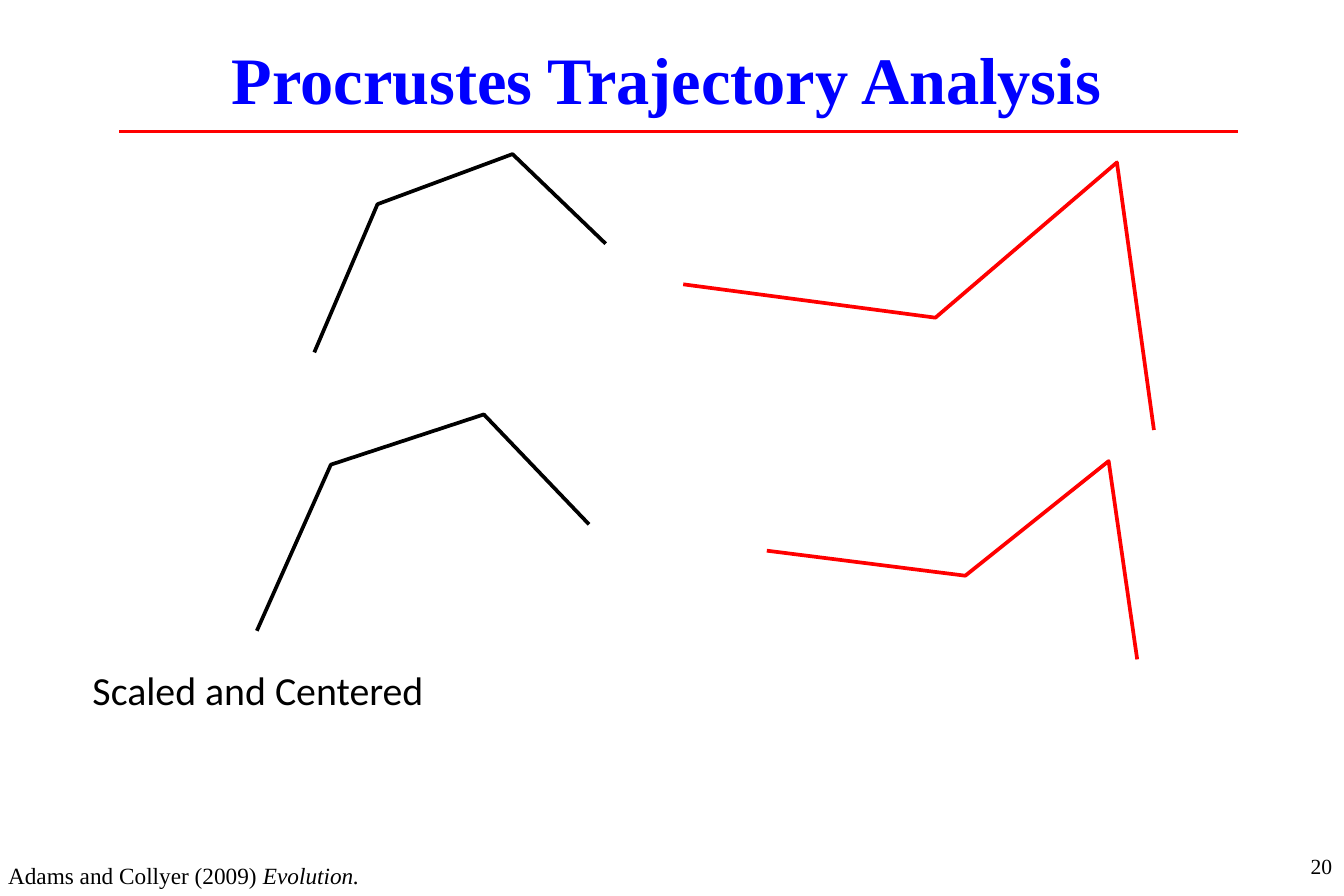
from dataclasses import dataclass
from lxml.etree import SubElement
from pptx import Presentation
from pptx.dml.color import RGBColor
from pptx.enum.shapes import MSO_CONNECTOR
from pptx.enum.text import MSO_ANCHOR, PP_ALIGN
from pptx.oxml.ns import qn
from pptx.util import Pt


@dataclass(frozen=True)
class Theme:
    black: RGBColor = RGBColor(0x00, 0x00, 0x00)
    red: RGBColor = RGBColor(0xFF, 0x00, 0x00)
    blue: RGBColor = RGBColor(0x00, 0x00, 0xFF)
    serif: str = "Times New Roman"
    sans: str = "Calibri"
    title: int = 40
    caption: int = 24
    citation: int = 14
    number: int = 13


theme = Theme()


def add_text(s, box, text, font, size, color, align, anchor=MSO_ANCHOR.TOP):
    sp = s.shapes.add_textbox(*[Pt(v) for v in box])
    tf = sp.text_frame
    tf.word_wrap = True
    tf.vertical_anchor = anchor
    p = tf.paragraphs[0]
    p.text = text
    p.alignment = align
    p.font.name = font
    p.font.size = Pt(size)
    p.font.color.rgb = color
    return p


prs = Presentation()
prs.slide_width, prs.slide_height = Pt(810), Pt(540)
s = prs.slides.add_slide(prs.slide_layouts[6])

trajectories = [
    (theme.black, [(189.4, 212.4), (227.5, 123.1), (308.9, 92.9), (365, 146.9)]),
    (theme.red, [(411.8, 171.4), (563.8, 191.5), (673.2, 97.9), (695.5, 259.2)]),
    (theme.black, [(154.8, 380.2), (199.4, 280.1), (291.6, 249.8), (355, 316.1)]),
    (theme.red, [(462.2, 331.9), (581.8, 347), (668.2, 277.9), (685.4, 397.4)]),
]
for color, points in trajectories:
    start, *rest = [(Pt(x), Pt(y)) for x, y in points]
    builder = s.shapes.build_freeform(*start)
    builder.add_line_segments(rest, close=False)
    sp = builder.convert_to_shape()
    sp.shadow.inherit = False
    sp.fill.background()
    sp.line.color.rgb = color
    sp.line.width = Pt(2.25)

add_text(s, (33.8, 397.4, 243.4, 36), "Scaled and Centered",
         theme.sans, theme.caption, theme.black, PP_ALIGN.CENTER)

p = add_text(s, (37.4, 7.9, 728.6, 90), "Procrustes Trajectory Analysis",
             theme.serif, theme.title, theme.blue, PP_ALIGN.CENTER, MSO_ANCHOR.MIDDLE)
p.font.bold = True
p.line_spacing = 0.7

rule = s.shapes.add_connector(MSO_CONNECTOR.STRAIGHT, Pt(72), Pt(79.2), Pt(745.9), Pt(79.2))
rule.line.color.rgb = theme.red
rule.line.width = Pt(1.5)
SubElement(rule.element.spPr, qn("a:effectLst"))

add_text(s, (641.5, 504, 168.5, 36), "20",
         theme.serif, theme.number, theme.black, PP_ALIGN.RIGHT, MSO_ANCHOR.MIDDLE)

p = add_text(s, (-2.2, 515.5, 365, 24.5), "Adams and Collyer (2009) ",
             theme.serif, theme.citation, theme.black, PP_ALIGN.LEFT)
r = p.add_run()
r.text = "Evolution."
r.font.italic = True

prs.save("out.pptx")
